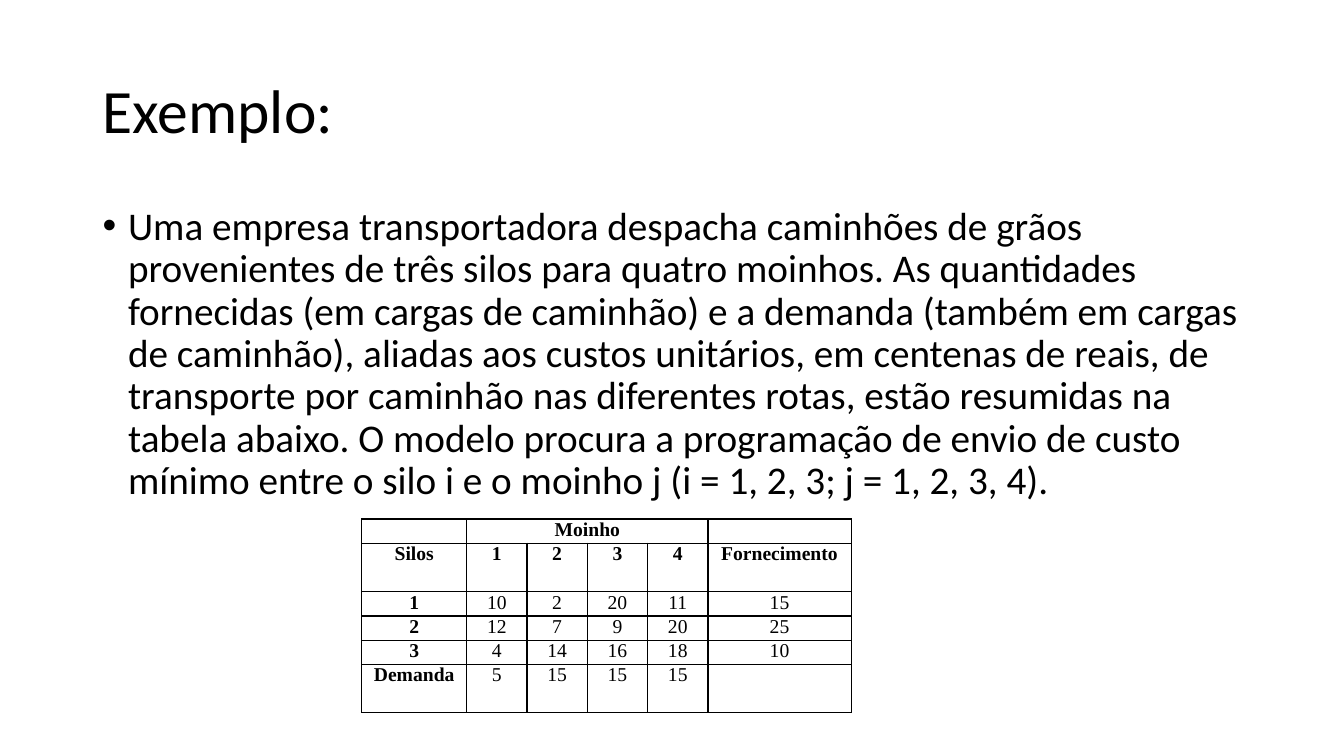
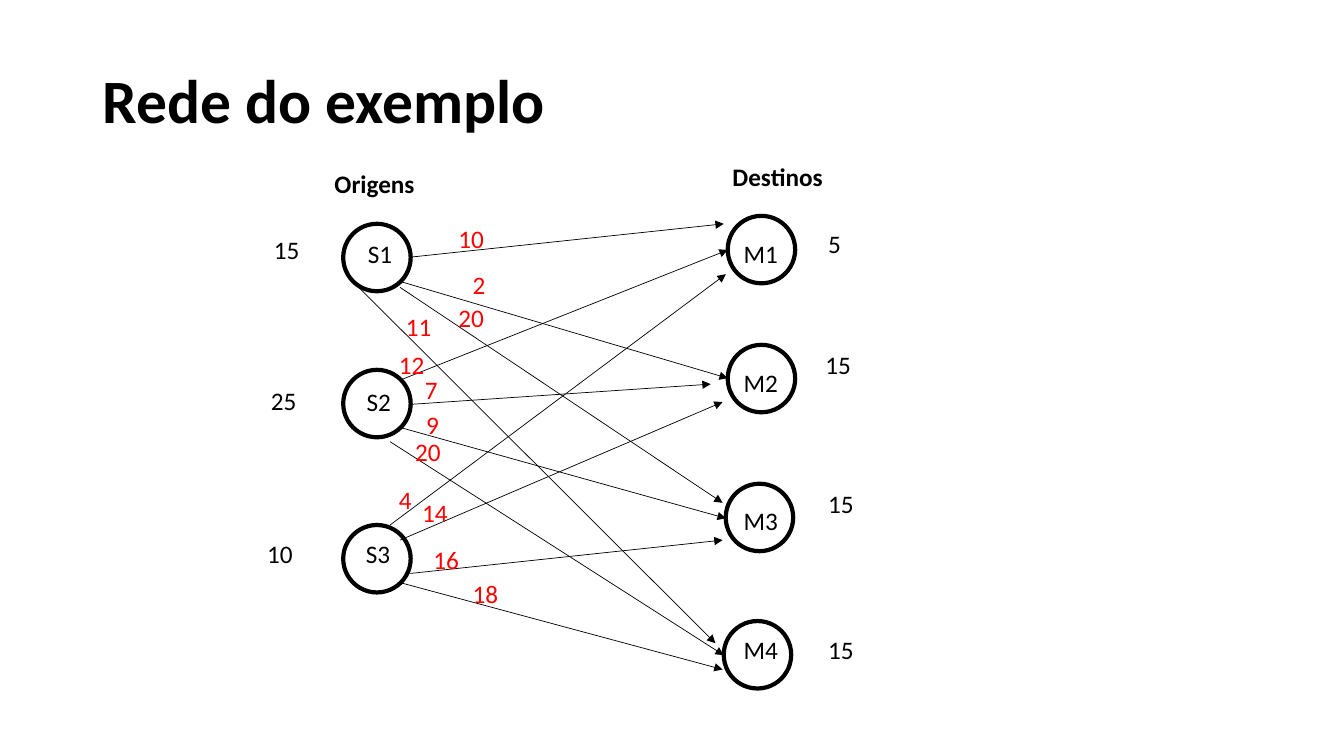
from dataclasses import dataclass

from lxml.etree import SubElement
from pptx import Presentation
from pptx.dml.color import RGBColor
from pptx.enum.shapes import MSO_CONNECTOR, MSO_SHAPE
from pptx.enum.text import MSO_ANCHOR, PP_ALIGN
from pptx.oxml.ns import qn
from pptx.util import Cm, Pt


@dataclass(frozen=True)
class Theme:
    ink: RGBColor = RGBColor(0, 0, 0)
    cost: RGBColor = RGBColor(255, 0, 0)
    font: str = "Calibri"
    table_font: str = "Times New Roman"
    title_size: int = 44
    body_size: int = 28
    label_size: int = 18
    table_size: int = 14
    node_line: float = 3
    route_line: float = 0.5
    grid_line: float = 1


THEME = Theme()

# Transport problem, used by the table and by the network
COSTS = [[10, 2, 20, 11], [12, 7, 9, 20], [4, 14, 16, 18]]
SUPPLY = [15, 25, 10]
DEMAND = [5, 15, 15, 15]

STATEMENT = (
    "Uma empresa transportadora despacha caminhões de grãos provenientes de três "
    "silos para quatro moinhos. As quantidades fornecidas (em cargas de caminhão) e "
    "a demanda (também em cargas de caminhão), aliadas aos custos unitários, em "
    "centenas de reais, de transporte por caminhão nas diferentes rotas, estão "
    "resumidas na tabela abaixo. O modelo procura a programação de envio de custo "
    "mínimo entre o silo i e o moinho j (i = 1, 2, 3; j = 1, 2, 3, 4)."
)

# Network positions in cm: circle, name and amount of each node
NODE_DIAMETER = 1.7
SILOS = [
    ((8.65, 5.64), (9.02, 5.89), (6.65, 5.79)),
    ((8.65, 9.32), (8.99, 9.6), (6.58, 9.58)),
    ((8.65, 13.23), (8.97, 13.44), (6.48, 13.44)),
]
MILLS = [
    ((18.34, 5.44), (18.49, 5.89), (20.62, 5.64)),
    ((18.34, 8.69), (18.49, 9.12), (20.55, 8.69)),
    ((18.29, 12.19), (18.49, 12.6), (20.62, 12.19)),
    ((18.24, 15.65), (18.49, 15.85), (20.62, 15.85)),
]

# Start, end and cost label of each route, one row per silo, one entry per mill
ROUTES = [
    [
        ((10.34, 6.48), (18.24, 5.64), (11.3, 5.51)),
        ((10.08, 7.09), (18.34, 9.53), (11.66, 6.65)),
        ((10.08, 7.24), (18.21, 12.67), (11.3, 7.49)),
        ((8.89, 7.09), (18.03, 16.21), (9.98, 7.72)),
    ],
    [
        ((10.08, 9.58), (18.34, 6.3), (9.8, 8.69)),
        ((10.34, 10.19), (17.91, 9.68), (10.46, 9.32)),
        ((10.08, 10.77), (18.29, 13.06), (10.49, 10.19)),
        ((9.83, 11.13), (18.24, 16.51), (10.21, 10.87)),
    ],
    [
        ((9.83, 13.23), (18.29, 6.91), (9.8, 12.07)),
        ((10.08, 13.61), (18.21, 10.13), (10.39, 12.4)),
        ((10.34, 14.45), (18.21, 13.61), (10.67, 13.59)),
        ((10.08, 14.68), (18.21, 16.87), (11.66, 14.45)),
    ],
]


def write_text(frame, text, *, size=THEME.label_size, font=THEME.font, color=THEME.ink,
               bold=False, align=PP_ALIGN.LEFT, spacing=1.0, bullet=False):
    """Write one formatted paragraph into a text frame."""
    paragraph = frame.paragraphs[0]
    paragraph.alignment = align
    paragraph.line_spacing = spacing
    if bullet:
        properties = paragraph._p.get_or_add_pPr()
        properties.set("marL", str(Cm(0.64)))
        properties.set("indent", str(-Cm(0.64)))
        SubElement(properties, qn("a:buFont")).set("typeface", "Arial")
        SubElement(properties, qn("a:buChar")).set("char", "•")
    if not text:
        # An empty paragraph still sets the height of its row
        SubElement(paragraph._p, qn("a:endParaRPr")).set("sz", str(size * 100))
        return
    run = paragraph.add_run()
    run.text = text
    run.font.size = Pt(size)
    run.font.name = font
    run.font.bold = bold
    run.font.color.rgb = color


def add_text(slide, text, left, top, width, height, *, anchor=MSO_ANCHOR.TOP, **text_format):
    box = slide.shapes.add_textbox(Cm(left), Cm(top), Cm(width), Cm(height))
    box.text_frame.word_wrap = True
    box.text_frame.vertical_anchor = anchor
    write_text(box.text_frame, text, **text_format)


def add_title(slide, text, top, bold=False):
    add_text(slide, text, 2.34, top, 29.21, 3.68, anchor=MSO_ANCHOR.MIDDLE,
             size=THEME.title_size, bold=bold, spacing=0.9)


def add_label(slide, text, position, width=1.6, **text_format):
    add_text(slide, text, *position, width, 1.02, **text_format)


def add_node(slide, name, amount, circle_at, name_at, amount_at):
    left, top = circle_at
    circle = slide.shapes.add_shape(MSO_SHAPE.OVAL, Cm(left), Cm(top),
                                    Cm(NODE_DIAMETER), Cm(NODE_DIAMETER))
    circle.shadow.inherit = False
    circle.fill.background()
    circle.line.color.rgb = THEME.ink
    circle.line.width = Pt(THEME.node_line)
    add_label(slide, name, name_at)
    add_label(slide, str(amount), amount_at)


def add_arrow(slide, start, end):
    arrow = slide.shapes.add_connector(MSO_CONNECTOR.STRAIGHT,
                                       *(Cm(value) for value in start + end))
    arrow.line.color.rgb = THEME.ink
    arrow.line.width = Pt(THEME.route_line)
    SubElement(arrow.line._get_or_add_ln(), qn("a:tailEnd")).set("type", "triangle")
    SubElement(arrow._element.spPr, qn("a:effectLst"))


def add_borders(cell):
    properties = cell._tc.get_or_add_tcPr()
    for side in ("lnL", "lnR", "lnT", "lnB"):
        line = SubElement(properties, qn(f"a:{side}"), w=str(Pt(THEME.grid_line)))
        fill = SubElement(line, qn("a:solidFill"))
        SubElement(fill, qn("a:srgbClr")).set("val", str(THEME.ink))


def add_cost_table(slide, left, top):
    rows = [["", "Moinho", "", "", "", ""], ["Silos", 1, 2, 3, 4, "Fornecimento"]]
    rows += [[number, *costs, supply]
             for number, (costs, supply) in enumerate(zip(COSTS, SUPPLY), 1)]
    rows.append(["Demanda", *DEMAND, ""])
    widths = [2.64] + [1.52] * len(DEMAND) + [3.61]
    heights = [0.61, 1.22, 0.61, 0.61, 0.61, 1.22]

    table = slide.shapes.add_table(len(rows), len(widths), Cm(left), Cm(top),
                                   Cm(sum(widths)), Cm(sum(heights))).table
    table.first_row = table.horz_banding = False
    for column, width in zip(table.columns, widths):
        column.width = Cm(width)
    for row, height in zip(table.rows, heights):
        row.height = Cm(height)

    for row_index, values in enumerate(rows):
        for column_index, value in enumerate(values):
            cell = table.cell(row_index, column_index)
            cell.margin_left = cell.margin_right = Cm(0.18)
            cell.margin_top = cell.margin_bottom = 0
            add_borders(cell)
            cell.fill.background()
            write_text(cell.text_frame, str(value), size=THEME.table_size,
                       font=THEME.table_font, align=PP_ALIGN.CENTER,
                       bold=row_index < 2 or column_index == 0)
    table.cell(0, 1).merge(table.cell(0, len(DEMAND)))


def build_example(slide):
    add_title(slide, "Exemplo:", 1.02)
    add_text(slide, STATEMENT, 2.34, 5.08, 29.21, 12.09,
             size=THEME.body_size, spacing=0.9, bullet=True)
    add_cost_table(slide, 9.12, 13.08)


def build_network(slide):
    add_title(slide, "Rede do exemplo", 0.76, bold=True)
    add_label(slide, "Origens", (8.18, 4.11), width=4.1, bold=True)
    add_label(slide, "Destinos", (18.21, 3.94), width=5.8, bold=True)

    # Nodes with their supply or demand
    for prefix, amounts, places in (("S", SUPPLY, SILOS), ("M", DEMAND, MILLS)):
        for number, (amount, place) in enumerate(zip(amounts, places), 1):
            add_node(slide, f"{prefix}{number}", amount, *place)

    # Routes with their unit costs
    for costs, routes in zip(COSTS, ROUTES):
        for cost, (start, end, label_at) in zip(costs, routes):
            add_arrow(slide, start, end)
            add_label(slide, str(cost), label_at, color=THEME.cost)


def main():
    presentation = Presentation()
    presentation.slide_width = Cm(33.87)
    presentation.slide_height = Cm(19.05)
    blank = presentation.slide_layouts[6]
    for build in (build_example, build_network):
        build(presentation.slides.add_slide(blank))
    presentation.save("out.pptx")


if __name__ == "__main__":
    main()
